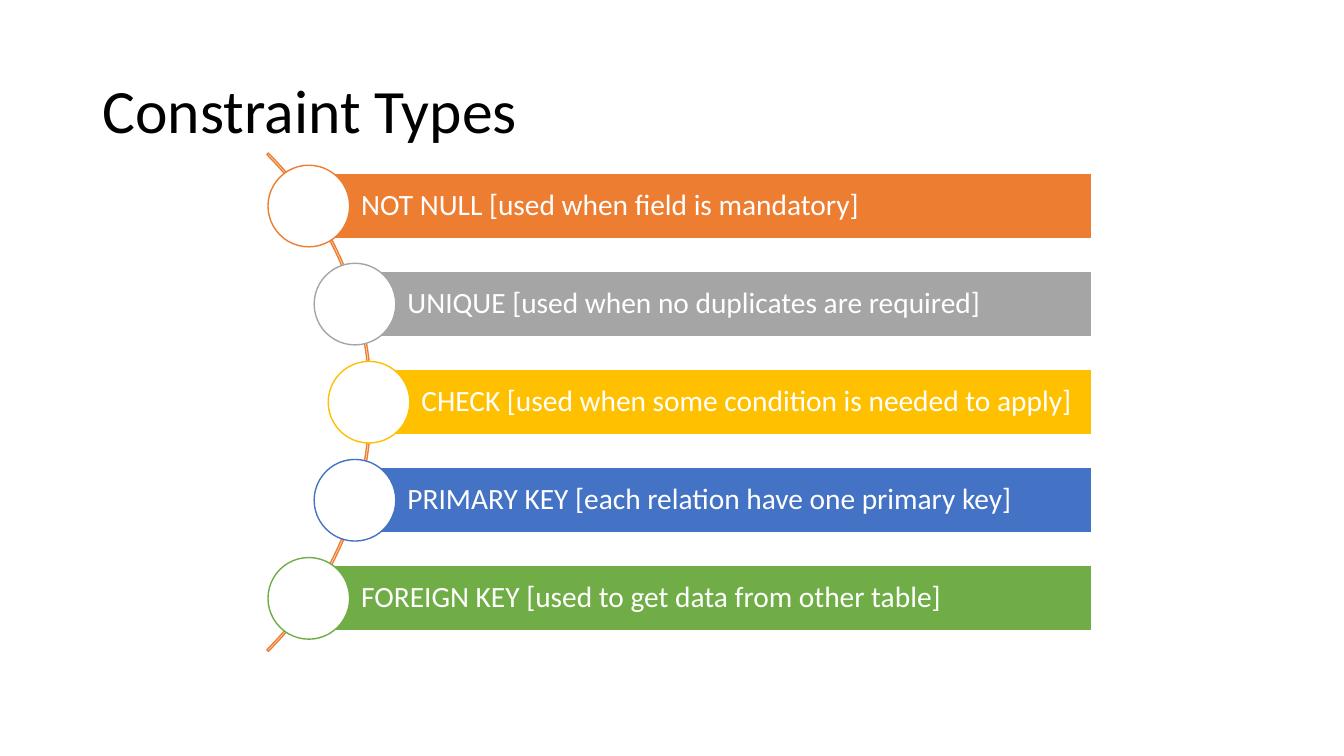
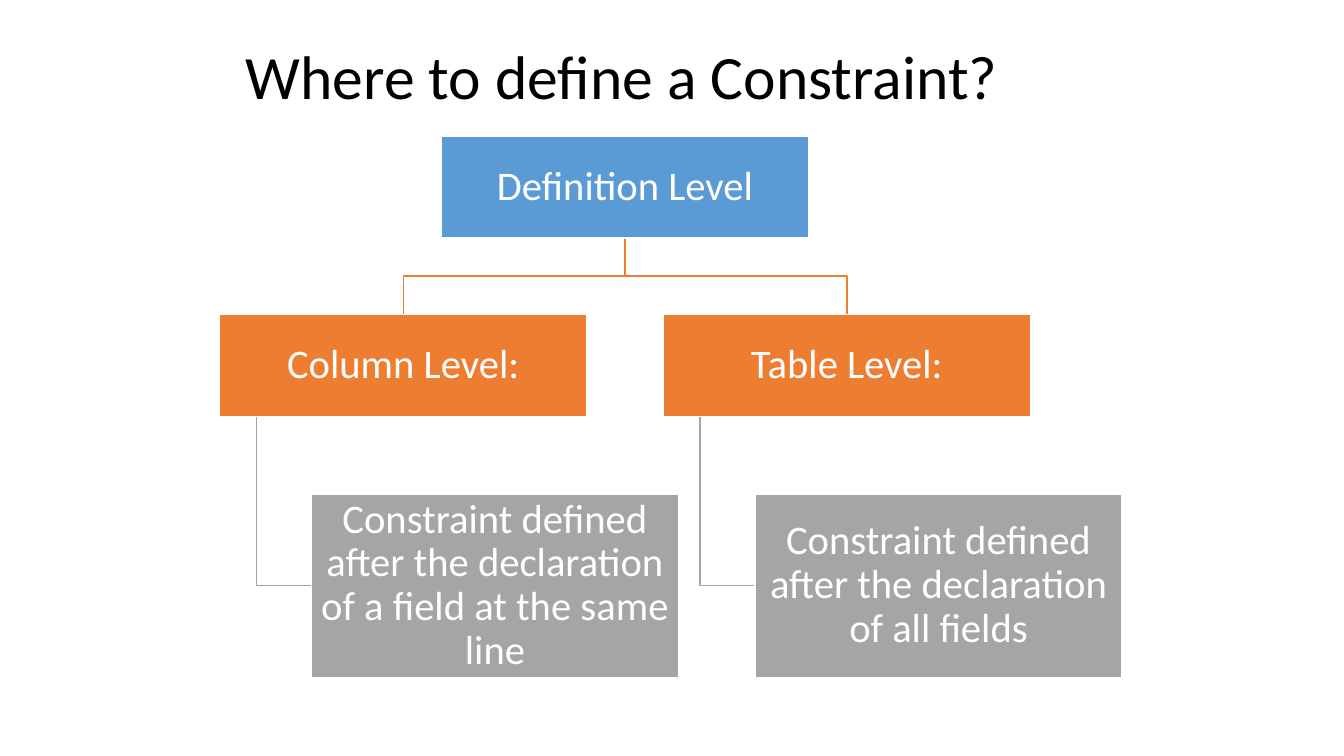
from math import sqrt

from pptx import Presentation
from pptx.dml.color import RGBColor
from pptx.enum import shapes as kinds, text as types
from pptx.util import Inches, Pt

BLACK = RGBColor(0x00, 0x00, 0x00)
WHITE = RGBColor(0xFF, 0xFF, 0xFF)
ORANGE = RGBColor(0xED, 0x7D, 0x31)
GRAY = RGBColor(0xA5, 0xA5, 0xA5)
GOLD = RGBColor(0xFF, 0xC0, 0x00)
NAVY = RGBColor(0x44, 0x72, 0xC4)
GREEN = RGBColor(0x70, 0xAD, 0x47)
SKY = RGBColor(0x5B, 0x9B, 0xD5)
FONT = "Calibri"
SHAPE = kinds.MSO_SHAPE
ALIGN = types.PP_ALIGN

CONSTRAINTS = [
    ("NOT NULL [used when field is mandatory]", ORANGE),
    ("UNIQUE [used when no duplicates are required]", GRAY),
    ("CHECK [used when some condition is needed to apply]", GOLD),
    ("PRIMARY KEY [each relation have one primary key]", NAVY),
    ("FOREIGN KEY [used to get data from other table]", GREEN),
]
LEVELS = [
    ("Column Level:", "Constraint defined after the declaration of a field at the same line"),
    ("Table Level:", "Constraint defined after the declaration of all fields"),
]


def write(frame, content, size, color, align, insets):
    frame.word_wrap = True
    frame.vertical_anchor = types.MSO_ANCHOR.MIDDLE
    left, top, right, bottom = insets
    frame.margin_left, frame.margin_top = Inches(left), Inches(top)
    frame.margin_right, frame.margin_bottom = Inches(right), Inches(bottom)
    frame.text = content
    paragraph = frame.paragraphs[0]
    paragraph.alignment = align
    paragraph.line_spacing = 0.9
    font = paragraph.runs[0].font
    font.name, font.size, font.color.rgb = FONT, Pt(size), color


def add_title(slide, content, box):
    title = slide.shapes.add_textbox(*map(Inches, box))
    write(title.text_frame, content, 44, BLACK, ALIGN.LEFT, (0.1, 0.05, 0.1, 0.05))


def outline(shape, color):
    shape.shadow.inherit = False
    shape.line.color.rgb = color
    shape.line.width = Pt(1)


def add_block(slide, kind, box, fill, line):
    block = slide.shapes.add_shape(kind, *map(Inches, box))
    outline(block, line)
    if fill is None:
        block.fill.background()
    else:
        block.fill.solid()
        block.fill.fore_color.rgb = fill
    return block


def add_path(slide, points, color):
    start, *rest = [(Inches(x), Inches(y)) for x, y in points]
    builder = slide.shapes.build_freeform(*start)
    builder.add_line_segments(rest, close=False)
    branch = builder.convert_to_shape()
    branch.fill.background()
    outline(branch, color)


def add_curved_list(slide, box, items):
    left, top, width, height = box
    arc_size, orbit, pitch = 6.99, 3.47, 0.973
    bar_height, dot = 0.65, 0.81
    center_x, center_y = left - 2.46, top + height / 2
    arc = add_block(slide, SHAPE.BLOCK_ARC,
                    (center_x - arc_size / 2, center_y - arc_size / 2, arc_size, arc_size),
                    None, ORANGE)
    for index, value in enumerate((189, 27, 0.003)):
        arc.adjustments[index] = value
    for index, (content, color) in enumerate(items):
        offset = (index - (len(items) - 1) / 2) * pitch
        x, y = center_x + sqrt(orbit ** 2 - offset ** 2), center_y + offset
        bar = add_block(slide, SHAPE.RECTANGLE,
                        (x, y - bar_height / 2, left + width - x, bar_height), color, WHITE)
        write(bar.text_frame, content, 21, WHITE, ALIGN.LEFT, (0.52, 0.06, 0.06, 0.06))
        add_block(slide, SHAPE.OVAL, (x - dot / 2, y - dot / 2, dot, dot), WHITE, color)


def add_tree(slide, box, root, branches):
    left, top, width, height = box
    node_width, node_height, note_height = 3.64, 1.01, 1.82
    pitch, indent = 4.4, 0.91
    level_top = top + 1.77
    level_bottom = level_top + node_height
    note_top = top + height - note_height
    root_left = left + pitch * (len(branches) - 1) / 2
    root_x, root_bottom = root_left + node_width / 2, top + node_height
    bend = (root_bottom + level_top) / 2
    nodes = [(root, (root_left, top, node_width, node_height), SKY)]
    for index, (level, note) in enumerate(branches):
        x = left + index * pitch
        level_x, stem = x + node_width / 2, x + node_width / 10
        note_middle = note_top + note_height / 2
        add_path(slide, [(root_x, root_bottom), (root_x, bend),
                         (level_x, bend), (level_x, level_top)], ORANGE)
        add_path(slide, [(stem, level_bottom), (stem, note_middle),
                         (x + indent, note_middle)], GRAY)
        nodes += [(level, (x, level_top, node_width, node_height), ORANGE),
                  (note, (x + indent, note_top, node_width, note_height), GRAY)]
    for content, place, color in nodes:
        node = add_block(slide, SHAPE.RECTANGLE, place, color, WHITE)
        write(node.text_frame, content, 29, WHITE, ALIGN.CENTER, (0.02,) * 4)


def main():
    deck = Presentation()
    deck.slide_width, deck.slide_height = Inches(13.33), Inches(7.5)
    blank = deck.slide_layouts[6]

    kinds_slide = deck.slides.add_slide(blank)
    add_title(kinds_slide, "Constraint Types", (0.92, 0.4, 11.5, 1.45))
    add_curved_list(kinds_slide, (2.65, 1.64, 8.18, 4.7), CONSTRAINTS)

    levels_slide = deck.slides.add_slide(blank)
    add_title(levels_slide, "Where to define a Constraint?", (2.34, 0.25, 8.92, 1.08))
    add_tree(levels_slide, (2.18, 1.35, 8.95, 5.37), "Definition Level", LEVELS)

    deck.save("out.pptx")


if __name__ == "__main__":
    main()
